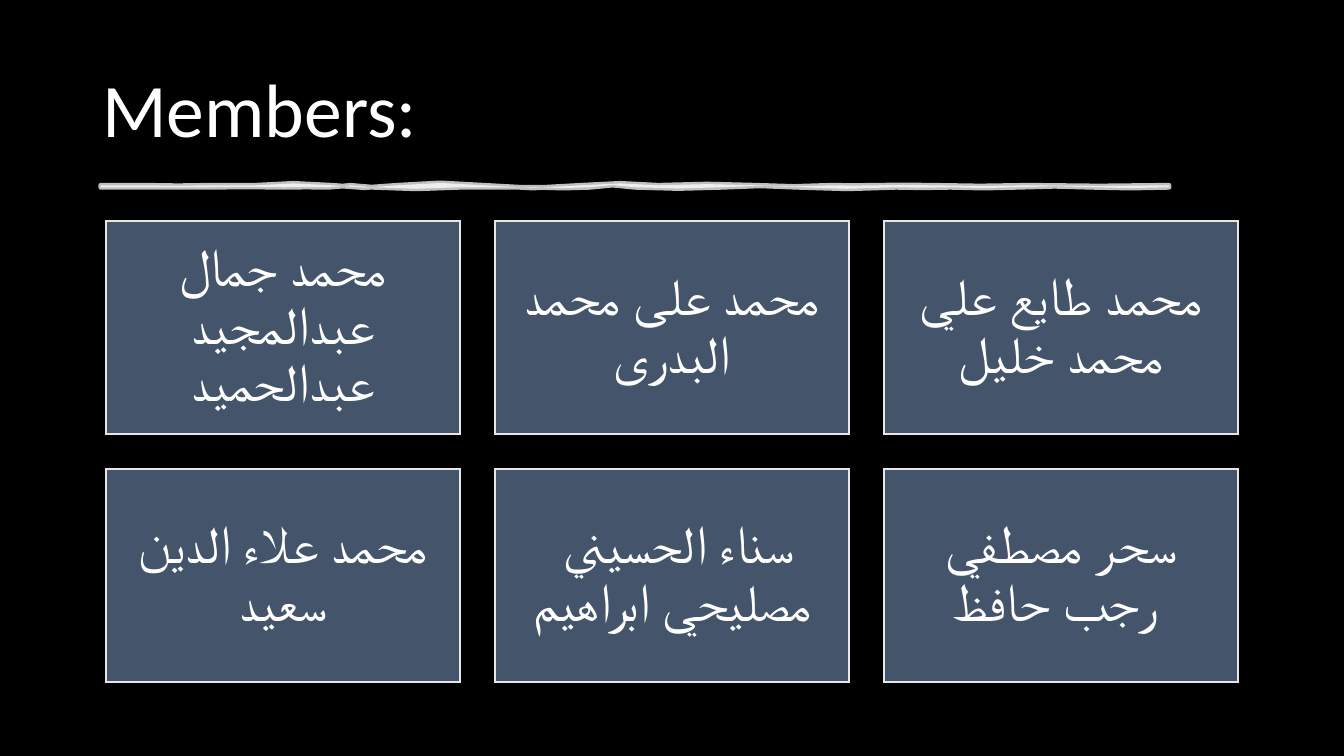
from dataclasses import dataclass

from lxml.etree import SubElement
from pptx import Presentation
from pptx.dml.color import RGBColor
from pptx.enum.shapes import MSO_SHAPE as Preset
from pptx.enum.text import MSO_ANCHOR as Anchor, PP_ALIGN as Align
from pptx.oxml.ns import qn
from pptx.util import Cm, Pt


@dataclass(frozen=True)
class Theme:
    background: RGBColor = RGBColor(0x00, 0x00, 0x00)
    text: RGBColor = RGBColor(0xFF, 0xFF, 0xFF)
    card: RGBColor = RGBColor(0x44, 0x54, 0x6A)
    border: RGBColor = RGBColor(0xE7, 0xE6, 0xE6)
    font: str = "Calibri"
    title_size: Pt = Pt(54)
    name_size: Pt = Pt(38)
    border_width: Pt = Pt(1.5)
    brush_width: Pt = Pt(3.5)
    brush_opacity: int = 75


THEME = Theme()

MEMBERS = [
    "محمد جمال عبدالمجيد عبدالحميد",
    "محمد على محمد البدرى",
    "محمد طايع علي محمد خليل",
    "محمد علاء الدين سعيد",
    "سناء الحسيني  مصليحي ابراهيم",
    "سحر مصطفي رجب حافظ ",
]
COLUMNS = 3
CARD_LEFT, CARD_TOP = 2.67, 5.56
CARD_WIDTH, CARD_HEIGHT = 8.93, 5.37
COLUMN_STEP, ROW_STEP = 9.8, 6.25

# Brush edges in cm: where each wave ends, then the pull of its two handles.
BRUSH_LEFT, BRUSH_TOP, BRUSH_BOTTOM = 2.54, 4.67, 4.72
BRUSH_RIGHT = 29.46
TOP_WAVES = [
    (3.66, 0, 0), (5.31, 0, 0.03), (6.43, -0.03, 0.03), (8.36, -0.03, -0.1),
    (10.01, 0.08, 0.08), (12.19, -0.08, -0.08), (14.66, 0.05, 0.13),
    (16.59, -0.13, 0), (19.05, 0, -0.08), (20.96, 0.05, 0.03),
    (22.07, -0.03, 0.05), (23.47, -0.05, 0.03), (25.93, -0.03, 0.08),
    (BRUSH_RIGHT, -0.08, 0.13),
]
BOTTOM_WAVES = [
    (27.53, 0.08, -0.03), (25.63, 0.03, -0.1), (23.95, 0.08, -0.03),
    (22.58, 0.03, 0), (20.12, 0, 0.1), (18.19, -0.1, 0), (16, 0, 0.08),
    (14.88, -0.1, -0.05), (13.51, 0.05, 0), (11.58, 0, 0), (9.4, 0, 0.1),
    (8.28, -0.1, -0.03), (7.16, 0.03, -0.05), (5.23, 0.05, -0.08),
    (BRUSH_LEFT, 0.05, -0.05),
]
WAVE_STEPS = 2


def apply_format(target, values):
    for attribute, value in values.items():
        setattr(target, attribute, value)


def write_text(shape, text, size, align, margins):
    frame = shape.text_frame
    apply_format(frame, {"word_wrap": True, "vertical_anchor": Anchor.MIDDLE, **margins})
    paragraph = frame.paragraphs[0]
    apply_format(paragraph, {"alignment": align, "line_spacing": 0.9})
    run = paragraph.add_run()
    run.text = text
    apply_format(run.font, {"name": THEME.font, "size": size})
    run.font.color.rgb = THEME.text


def paint(shape, fill, line, width):
    shape.shadow.inherit = False
    shape.fill.solid()
    shape.fill.fore_color.rgb = fill
    shape.line.color.rgb = line
    shape.line.width = width


def sharpen_corners(shape):
    outline = shape._element.spPr.find(qn("a:ln"))
    SubElement(outline, qn("a:miter")).set("lim", "800000")


def add_title(slide, text):
    title = slide.shapes.add_textbox(Cm(2.33), Cm(1.01), Cm(29.21), Cm(3.68))
    write_text(title, text, THEME.title_size, Align.LEFT, {})


def wave_points(start, baseline, waves):
    """Points along cubic waves whose ends all rest on the baseline."""
    points = []
    for end, first_pull, second_pull in waves:
        for step in range(1, WAVE_STEPS + 1):
            t = step / WAVE_STEPS
            rise = 3 * t * (1 - t) * ((1 - t) * first_pull + t * second_pull)
            points.append((Cm(start + t * (end - start)), Cm(baseline + rise)))
        start = end
    return points


def add_brush_line(slide):
    outline = slide.shapes.build_freeform(Cm(BRUSH_LEFT), Cm(BRUSH_TOP))
    outline.add_line_segments(
        wave_points(BRUSH_LEFT, BRUSH_TOP, TOP_WAVES)
        + [(Cm(BRUSH_RIGHT), Cm(BRUSH_BOTTOM))]
        + wave_points(BRUSH_RIGHT, BRUSH_BOTTOM, BOTTOM_WAVES),
        close=True,
    )
    brush = outline.convert_to_shape()
    paint(brush, THEME.text, THEME.text, THEME.brush_width)
    for color in brush._element.spPr.iter(qn("a:srgbClr")):
        SubElement(color, qn("a:alpha")).set("val", str(THEME.brush_opacity * 1000))


def add_member_card(slide, index, member):
    row, column = divmod(index, COLUMNS)
    card = slide.shapes.add_shape(
        Preset.RECTANGLE,
        Cm(CARD_LEFT + column * COLUMN_STEP),
        Cm(CARD_TOP + row * ROW_STEP),
        Cm(CARD_WIDTH),
        Cm(CARD_HEIGHT),
    )
    paint(card, THEME.card, THEME.border, THEME.border_width)
    sharpen_corners(card)
    sides = ("left", "top", "right", "bottom")
    margins = {f"margin_{side}": Cm(0.4) for side in sides}
    write_text(card, member, THEME.name_size, Align.CENTER, margins)


def main():
    deck = Presentation()
    apply_format(deck, {"slide_width": Cm(33.87), "slide_height": Cm(19.05)})
    slide = deck.slides.add_slide(deck.slide_layouts[6])
    slide.background.fill.solid()
    slide.background.fill.fore_color.rgb = THEME.background
    add_title(slide, "Members:")
    add_brush_line(slide)
    for index, member in enumerate(MEMBERS):
        add_member_card(slide, index, member)
    deck.save("out.pptx")


if __name__ == "__main__":
    main()
